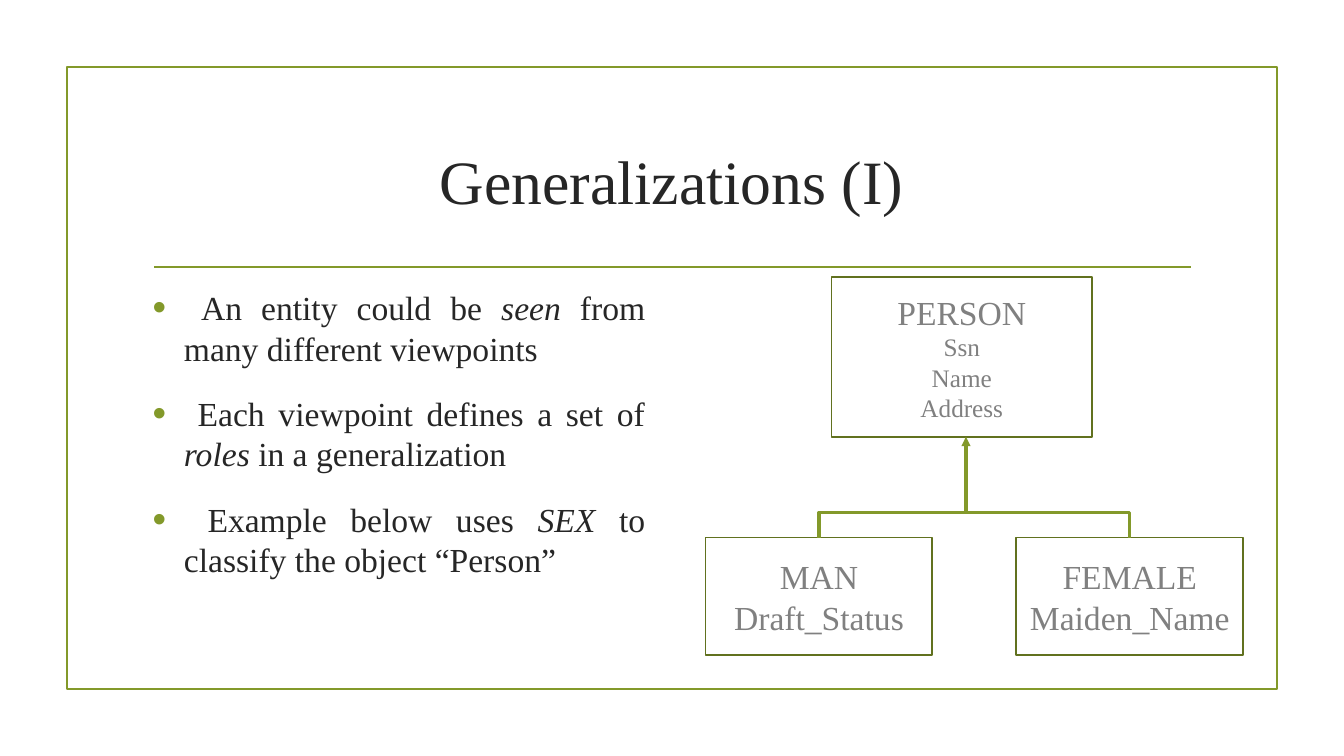
"""Build the "Generalizations (I)" slide: bullets beside an entity hierarchy."""
from lxml import etree
from pptx import Presentation, util as u
from pptx.dml.color import RGBColor
from pptx.enum import shapes, text
from pptx.oxml import ns

THEME = dict(font="Times New Roman", accent="83992A", edge="61711F", paper="FFFFFF",
             ink="262626", muted="808080", title=44, body=24, attr=18,
             thin=1.25, thick=2.25)
W, H = 13.33, 7.5
COL, ROW = W / 160, H / 90


def write(sp, paras, color, align, anchor=text.MSO_ANCHOR.MIDDLE, bullet=None):
    """Fill sp with paragraphs, each a size and a list of (text, italic) runs."""
    tf = sp.text_frame
    tf.word_wrap, tf.vertical_anchor = True, anchor
    for i, (size, runs) in enumerate(paras):
        p = tf.paragraphs[0] if i == 0 else tf.add_paragraph()
        p.alignment = align
        if bullet:
            p.space_before, p.space_after = u.Pt(12), u.Pt(6)
            pPr = p._p.get_or_add_pPr()
            pPr.set("marL", str(u.Inches(0.31)))
            pPr.set("indent", str(-u.Inches(0.31)))
            clr = etree.SubElement(pPr, ns.qn("a:buClr"))
            etree.SubElement(clr, ns.qn("a:srgbClr"), val=THEME["accent"])
            etree.SubElement(pPr, ns.qn("a:buSzPct"), val="115000")
            etree.SubElement(pPr, ns.qn("a:buFont"), typeface="Arial")
            etree.SubElement(pPr, ns.qn("a:buChar"), char=bullet)
        for words, italic in runs:
            r = p.add_run()
            r.text = words
            r.font.name, r.font.size, r.font.italic = THEME["font"], u.Pt(size), italic
            r.font.color.rgb = RGBColor.from_string(color)


def stroke(sp, color, width):
    """Give sp a solid line and no shadow."""
    sp.line.color.rgb = RGBColor.from_string(color)
    sp.line.width = u.Pt(width)
    spPr = sp._element.spPr
    if spPr.find(ns.qn("a:effectLst")) is None:
        etree.SubElement(spPr, ns.qn("a:effectLst"))


prs = Presentation()
prs.slide_width, prs.slide_height = u.Inches(W), u.Inches(H)
s = prs.slides.add_slide(prs.slide_layouts[6])

frame = s.shapes.add_shape(shapes.MSO_SHAPE.RECTANGLE, u.Inches(8 * COL), u.Inches(8 * ROW),
                           u.Inches(144 * COL), u.Inches(74 * ROW))
frame.fill.background()
stroke(frame, THEME["accent"], THEME["thin"])

rule = s.shapes.add_connector(shapes.MSO_CONNECTOR.STRAIGHT, u.Inches(1.53), u.Inches(2.65),
                              u.Inches(11.81), u.Inches(2.65))
stroke(rule, THEME["accent"], THEME["thin"])

title = s.shapes.add_textbox(u.Inches(17 * COL), u.Inches(1.07),
                             u.Inches(126 * COL), u.Inches(1.43))
write(title, [(THEME["title"], [("Generalizations (I)", False)])],
      THEME["ink"], text.PP_ALIGN.CENTER)

points = [
    [(" An entity could be ", False), ("seen ", True), ("from many different viewpoints", False)],
    [(" Each viewpoint defines a set of", False), (" roles", True), (" in a generalization", False)],
    [(" ", True), ("Example below uses ", False), ("SEX", True),
     (" to classify the object “Person”", False)],
]
body = s.shapes.add_textbox(u.Inches(17 * COL), u.Inches(2.8),
                            u.Inches(61 * COL), u.Inches(3.63))
write(body, [(THEME["body"], runs) for runs in points], THEME["ink"],
      text.PP_ALIGN.JUSTIFY, anchor=text.MSO_ANCHOR.TOP, bullet="•")

entities = [
    (84, 64, 27, 14, THEME["body"], ["MAN", "Draft_Status"]),
    (121, 64, 27, 14, THEME["body"], ["FEMALE", "Maiden_Name"]),
    (99, 33, 31, 19, THEME["attr"], ["PERSON", "Ssn", "Name", "Address"]),
]
for col, row, cols, rows, size, (name, *attrs) in entities:
    sp = s.shapes.add_shape(shapes.MSO_SHAPE.RECTANGLE, u.Inches(col * COL), u.Inches(row * ROW),
                            u.Inches(cols * COL), u.Inches(rows * ROW))
    sp.fill.solid()
    sp.fill.fore_color.rgb = RGBColor.from_string(THEME["paper"])
    stroke(sp, THEME["edge"], THEME["thin"])
    write(sp, [(THEME["body"], [(name, False)])] + [(size, [(a, False)]) for a in attrs],
          THEME["muted"], text.PP_ALIGN.CENTER)

left, right, bar, foot = (u.Inches(n) for n in (97.5 * COL, 134.5 * COL, 61 * ROW, 64 * ROW))
fb = s.shapes.build_freeform(left, foot)
fb.add_line_segments([(left, bar), (right, bar), (right, foot)], close=False)
bracket = fb.convert_to_shape()
bracket.fill.background()
stroke(bracket, THEME["accent"], THEME["thick"])

arrow = s.shapes.add_connector(shapes.MSO_CONNECTOR.STRAIGHT, u.Inches(115 * COL), bar,
                               u.Inches(115 * COL), u.Inches(52 * ROW))
stroke(arrow, THEME["accent"], THEME["thick"])
etree.SubElement(arrow.line._get_or_add_ln(), ns.qn("a:tailEnd"), type="triangle")

prs.save("out.pptx")
